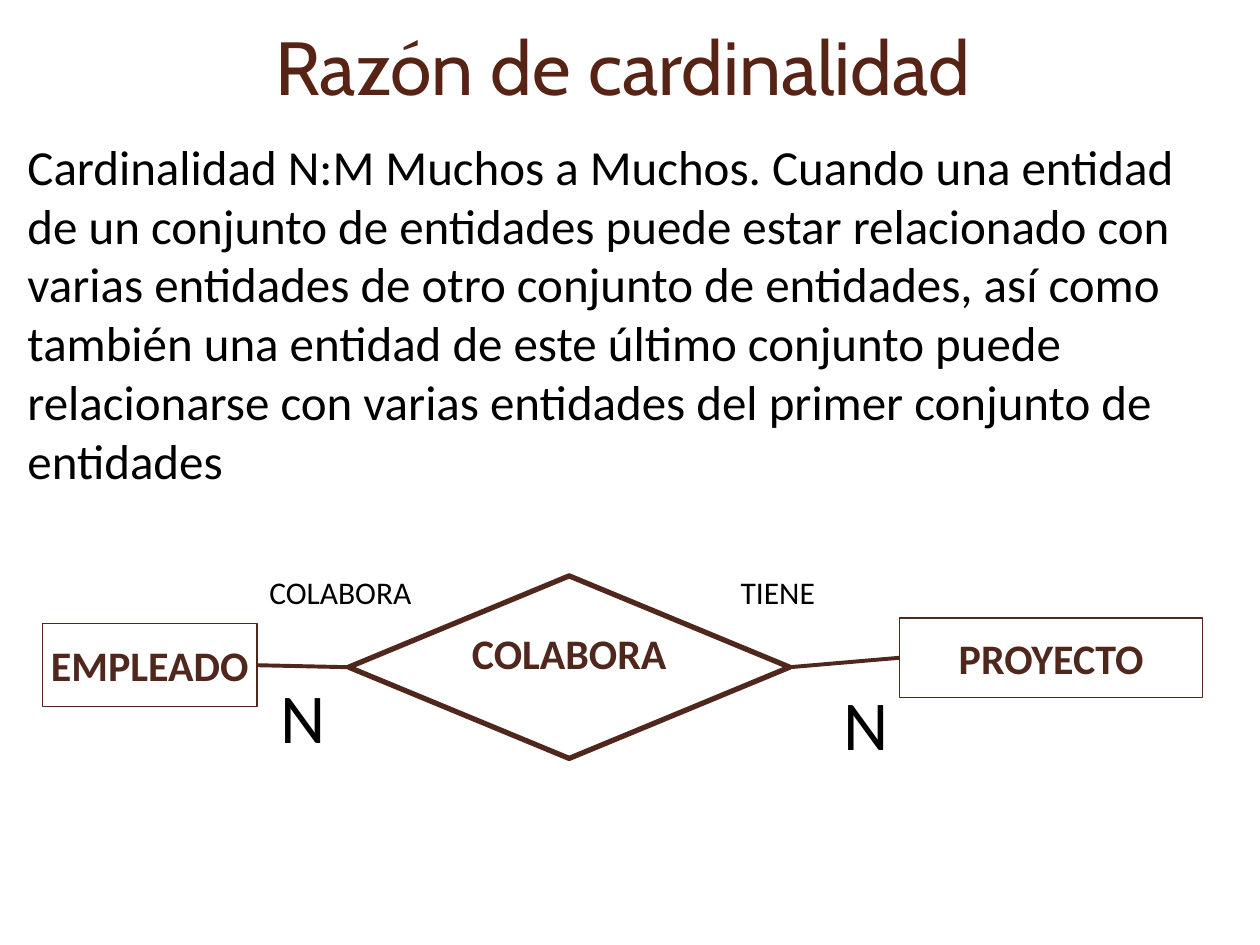
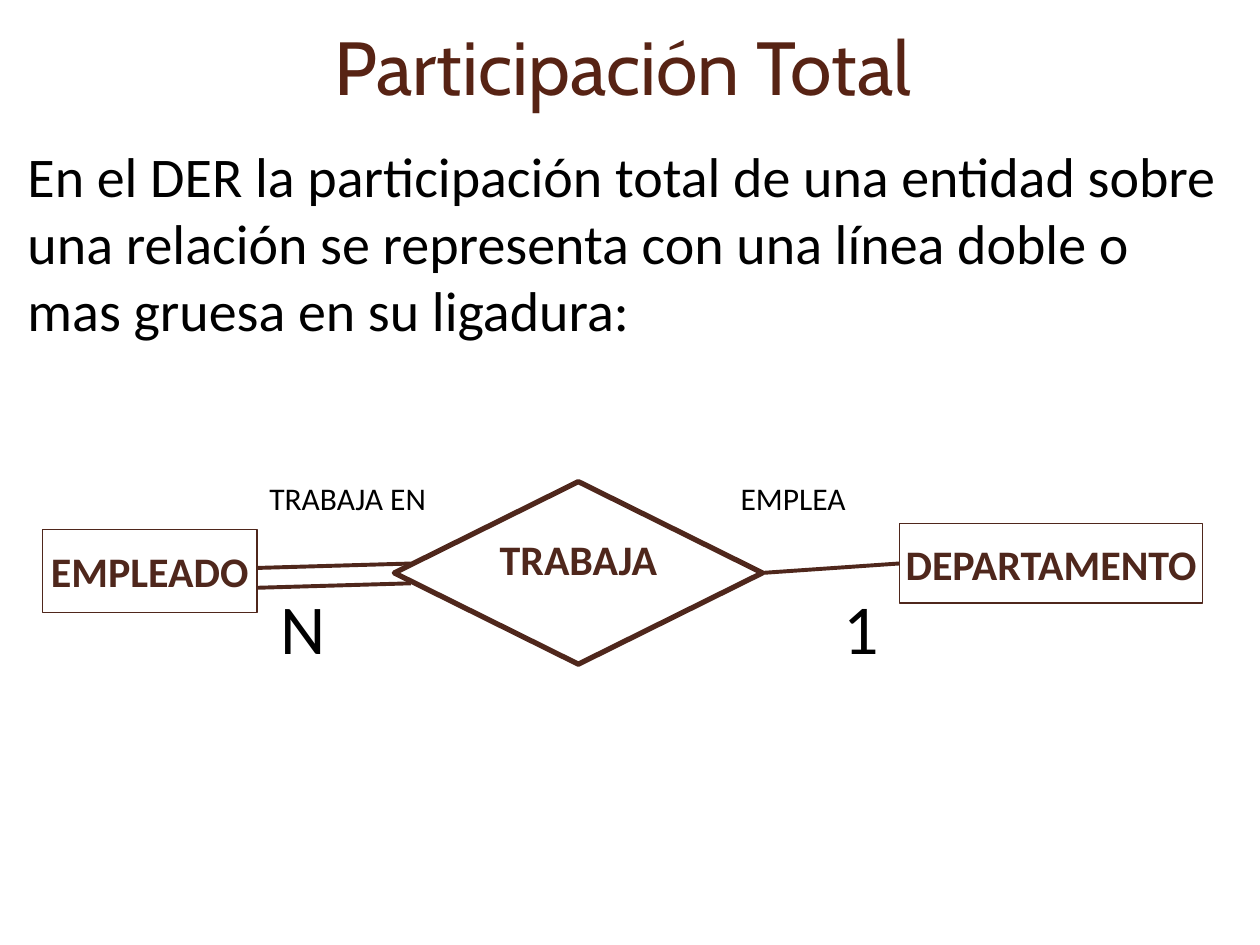
import pptx
import pptx.dml.color
import pptx.enum.shapes
import pptx.enum.text
import pptx.oxml
import pptx.util
from pptx.util import Cm, Pt

COLORS = {"title": "572314", "diagram": "4F271C", "text": "000000"}
SHAPE = pptx.enum.shapes.MSO_SHAPE
ALIGN = pptx.enum.text.PP_ALIGN
ANCHOR = pptx.enum.text.MSO_ANCHOR
AUTO = pptx.enum.text.MSO_AUTO_SIZE
LEFT_SIDE, RIGHT_SIDE = 1, 3

MARGIN, CONTENT_W, TITLE_H = 0.3, 24.51, 2.62
DIAGRAM_X = 0.86


def rgb(name):
    return pptx.dml.color.RGBColor.from_string(COLORS[name])


def write(tf, text, size, color, font="Calibri", bold=False, align=ALIGN.LEFT):
    p = tf.paragraphs[0]
    p.alignment = align
    r = p.add_run()
    r.text = text
    r.font.name, r.font.size, r.font.bold = font, Pt(size), bold
    r.font.color.rgb = rgb(color)
    return p


def place(sp, x, y, w, h):
    sp.left, sp.top, sp.width, sp.height = Cm(x), Cm(y), Cm(w), Cm(h)


def add_title(slide, text):
    sp = slide.shapes.title
    place(sp, MARGIN, 0, CONTENT_W, TITLE_H)
    tf = sp.text_frame
    tf.auto_size, tf.vertical_anchor = AUTO.NONE, ANCHOR.MIDDLE
    write(tf, text, 43, "title", font="Cabin", align=ALIGN.CENTER)


def add_body(slide, text, size, y, h):
    sp = slide.placeholders[1]
    place(sp, MARGIN, y, CONTENT_W, h)
    tf = sp.text_frame
    tf.auto_size, tf.vertical_anchor = AUTO.NONE, ANCHOR.TOP
    p = write(tf, text, size, "text")
    p.space_before = Pt(0)
    pPr = p._p.get_or_add_pPr()
    pPr.set("marL", "0")
    pPr.set("indent", "0")
    pPr.append(pptx.oxml.parse_xml(
        '<a:buNone xmlns:a="http://schemas.openxmlformats.org/drawingml/2006/main"/>'))


def add_node(shapes, kind, text, box, line_w):
    """Add an outlined, unfilled shape with a bold centred name."""
    sp = shapes.add_shape(kind, *map(Cm, box))
    sp.shadow.inherit = False
    sp.fill.background()
    sp.line.color.rgb = rgb("diagram")
    sp.line.width = Pt(line_w)
    write(sp.text_frame, text, 24, "diagram", bold=True, align=ALIGN.CENTER)
    return sp


def add_entity(shapes, text, box):
    sp = add_node(shapes, SHAPE.RECTANGLE, text, box, 0.75)
    tf = sp.text_frame
    tf.word_wrap, tf.vertical_anchor = False, ANCHOR.MIDDLE
    tf.margin_left = tf.margin_right = Cm(0.2)
    tf.margin_top = tf.margin_bottom = 0
    return sp


def add_relation(shapes, text, box):
    sp = add_node(shapes, SHAPE.DIAMOND, text, box, 3)
    sp.text_frame.vertical_anchor = ANCHOR.TOP
    return sp


def add_label(shapes, text, size, x, y, w, h):
    sp = shapes.add_textbox(Cm(x), Cm(y), Cm(w), Cm(h))
    tf = sp.text_frame
    tf.word_wrap, tf.auto_size = False, AUTO.SHAPE_TO_FIT_TEXT
    write(tf, text, size, "text")


def add_line(shapes, x1, y1, x2, y2):
    straight = pptx.enum.shapes.MSO_CONNECTOR.STRAIGHT
    c = shapes.add_connector(straight, Cm(x1), Cm(y1), Cm(x2), Cm(y2))
    c.line.color.rgb = rgb("diagram")
    c.line.width = Pt(2.25)
    c._element.spPr.append(pptx.oxml.parse_xml(
        '<a:effectLst xmlns:a="http://schemas.openxmlformats.org/drawingml/2006/main"/>'))
    return c


def join(shapes, start, end):
    """Link the right side of one shape to the left side of the next."""
    c = add_line(shapes, 0, 0, 0, 0)
    c.begin_connect(start, RIGHT_SIDE)
    c.end_connect(end, LEFT_SIDE)


def add_diagram(slide, y, entities, relation, diamond, roles, cardinalities,
                total=False):
    """Draw entity - relation - entity; total doubles the left link.

    diamond is (x, width), roles are (text, width) and cardinalities are
    (text, y, width); positions are relative to the diagram's corner.
    """
    x = DIAGRAM_X
    shapes = slide.shapes.add_group_shape().shapes
    dx, dw = diamond
    left = add_entity(shapes, entities[0], (x, y + 1.14, 4.32, 1.68))
    right = add_entity(shapes, entities[1], (x + 17.27, y + 1.03, 6.12, 1.6))
    rhombus = add_relation(shapes, relation, (x + dx, y + 0.18, dw, 3.68))

    if total:
        for gap in (-0.2, 0.2):
            add_line(shapes, x + 4.32, y + 2.12 + gap,
                     x + dx + 0.33, y + 2.03 + gap)
    else:
        join(shapes, left, rhombus)
    join(shapes, rhombus, right)

    for (text, w), role_x in zip(roles, (4.32, 13.82)):
        add_label(shapes, text, 18, x + role_x, y, w, 1.02)
    for (text, card_y, w), card_x in zip(cardinalities, (4.55, 15.9)):
        add_label(shapes, text, 40, x + card_x, y + card_y, w, 1.96)


def add_slide(prs, title):
    slide = prs.slides.add_slide(prs.slide_layouts[1])
    add_title(slide, title)
    return slide


def cardinality_slide(prs):
    slide = add_slide(prs, "Razón de cardinalidad")
    add_body(slide,
             "Cardinalidad N:M Muchos a Muchos. Cuando una entidad de un "
             "conjunto de entidades puede estar relacionado con varias "
             "entidades de otro conjunto de entidades, así como también una "
             "entidad de este último conjunto puede relacionarse con varias "
             "entidades del primer conjunto de entidades", 28, 2.62, 7.44)
    add_diagram(slide, 11.43, ("EMPLEADO", "PROYECTO"), "COLABORA",
                (6.17, 8.89), (("COLABORA", 3.4), ("TIENE", 2.03)),
                (("N", 2.03, 1.42), ("N", 2.16, 1.42)))


def participation_slide(prs):
    slide = add_slide(prs, "Participación Total")
    add_body(slide,
             "En el DER la participación total de una entidad sobre una "
             "relación se representa con una línea doble o mas gruesa en su "
             "ligadura:", 32, 2.72, 5.08)
    add_diagram(slide, 9.53, ("EMPLEADO", "DEPARTAMENTO"), "TRABAJA",
                (7.09, 7.42), (("TRABAJA EN", 3.68), ("EMPLEA", 2.64)),
                (("N", 2.13, 1.42), ("1", 2.13, 1.24)), total=True)


def main():
    prs = pptx.Presentation()
    prs.slide_width, prs.slide_height = Cm(25.4), Cm(19.05)
    cardinality_slide(prs)
    participation_slide(prs)
    prs.save("out.pptx")


if __name__ == "__main__":
    main()
